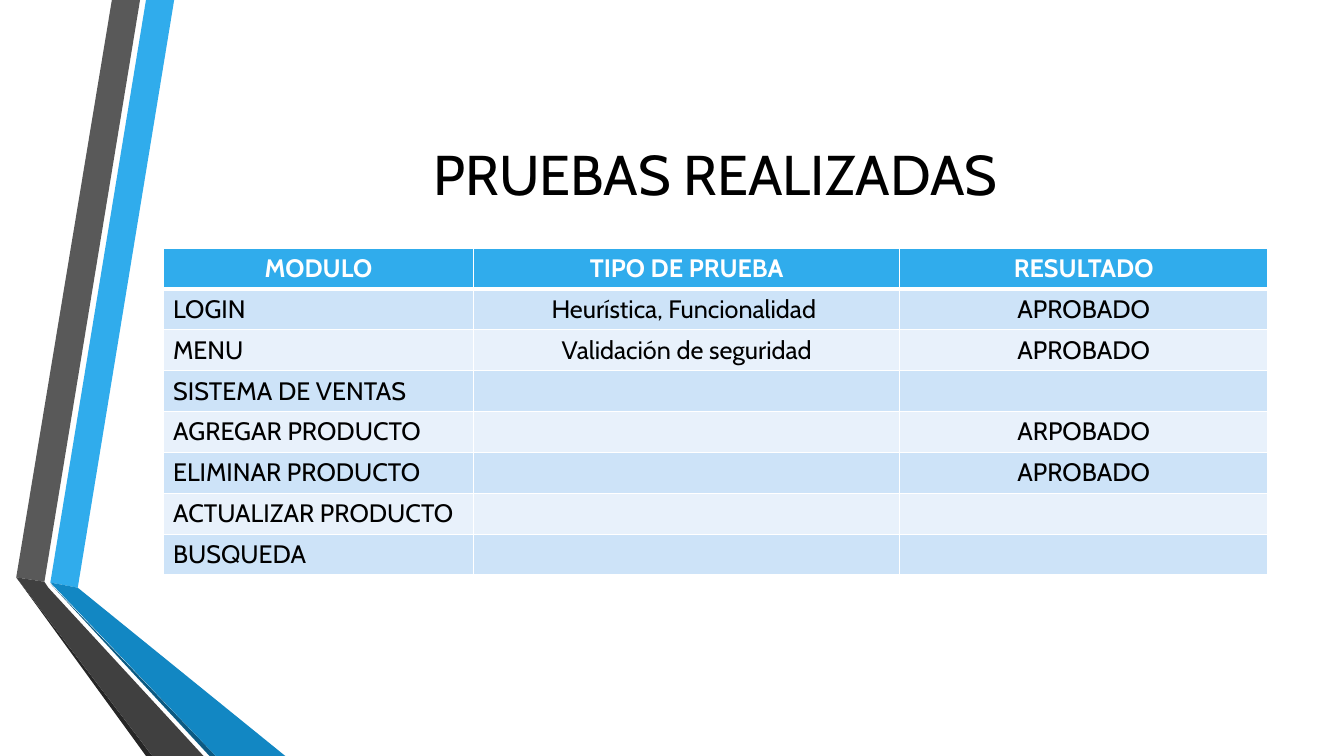
from lxml.etree import SubElement
from pptx import Presentation
from pptx.dml.color import RGBColor as Rgb
from pptx.enum.text import MSO_ANCHOR as Anchor, PP_ALIGN as Align
from pptx.oxml.ns import qn
from pptx.util import Cm, Pt

COLORS = {
    "black": "000000", "white": "FFFFFF",
    "blue": "30ACEC", "mid_blue": "1287C3", "deep_blue": "0C5A82",
    "gray": "595959", "dark_gray": "404040", "deep_gray": "262626",
    "band": "CDE3F8", "pale_band": "E8F1FB",
}
LEFT, WIDTH, BOTTOM = 4.11, 27.84, 19.05


def color(name):
    return Rgb.from_string(COLORS[name])


def write(frame, text, font="Cabin", size=18, ink="black", bold=False, align=Align.LEFT):
    paragraph = frame.paragraphs[0]
    paragraph.alignment = align
    run = paragraph.add_run()
    run.text = text
    run.font.name, run.font.size, run.font.bold = font, Pt(size), bold
    run.font.color.rgb = color(ink)


class SlideBuilder:
    def __init__(self, slide, font="Cabin"):
        self.slide = slide
        self.font = font

    def ribbon(self, fill, points):
        start, *rest = [(Cm(x), Cm(y)) for x, y in points]
        builder = self.slide.shapes.build_freeform(*start)
        builder.add_line_segments(rest, close=True)
        band = builder.convert_to_shape()
        band.shadow.inherit = False
        band.fill.solid()
        band.fill.fore_color.rgb = color(fill)
        band.line.fill.background()

    def title(self, text, top, height):
        box = self.slide.shapes.add_textbox(Cm(LEFT), Cm(top), Cm(WIDTH), Cm(height))
        frame = box.text_frame
        frame.word_wrap = True
        frame.vertical_anchor = Anchor.MIDDLE
        write(frame, text, font=self.font, size=40, align=Align.CENTER)

    def border(self, cell, side, width):
        line = SubElement(cell._tc.get_or_add_tcPr(), qn(f"a:{side}"), w=str(Pt(width)))
        fill = SubElement(line, qn("a:solidFill"))
        SubElement(fill, qn("a:srgbClr"), val=COLORS["white"])

    def table(self, rows, top, column_widths, row_height):
        grid = self.slide.shapes.add_table(
            len(rows), len(column_widths), Cm(LEFT), Cm(top),
            Cm(WIDTH), Cm(row_height * len(rows))).table
        for column, width in zip(grid.columns, column_widths):
            column.width = Cm(width)
        for r, row in enumerate(rows):
            grid.rows[r].height = Cm(row_height)
            header = r == 0
            fill = "blue" if header else "band" if r % 2 else "pale_band"
            for c, text in enumerate(row):
                cell = grid.cell(r, c)
                for side in ("lnL", "lnR", "lnT", "lnB"):
                    thick = header and side == "lnB" or r == 1 and side == "lnT"
                    self.border(cell, side, 3 if thick else 1)
                cell.fill.solid()
                cell.fill.fore_color.rgb = color(fill)
                if text:
                    write(cell.text_frame, text, font=self.font, bold=header,
                          ink="white" if header else "black",
                          align=Align.CENTER if header or c else Align.LEFT)


def main():
    deck = Presentation()
    deck.slide_width, deck.slide_height = Cm(33.87), Cm(BOTTOM)
    page = SlideBuilder(deck.slides.add_slide(deck.slide_layouts[6]))

    # Folded ribbons on the left
    page.ribbon("blue", [(1.27, 14.68), (1.96, 14.81), (4.39, 0), (3.68, 0)])
    page.ribbon("gray", [(3.53, 0), (2.82, 0), (0.41, 14.55), (1.12, 14.66)])
    page.ribbon("deep_gray", [(0.41, 14.55), (3.68, BOTTOM), (3.84, BOTTOM)])
    page.ribbon("deep_blue", [(1.27, 14.71), (5.28, BOTTOM), (5.44, BOTTOM)])
    page.ribbon("mid_blue", [(1.27, 14.68), (5.44, BOTTOM), (7.19, BOTTOM), (1.96, 14.81)])
    page.ribbon("dark_gray", [(5.13, BOTTOM), (1.22, 14.81), (1.12, 14.66),
                              (0.41, 14.55), (3.84, BOTTOM)])

    # Title
    page.title("PRUEBAS REALIZADAS", top=1.91, height=4.88)

    # Test results
    tests = [
        ("MODULO", "TIPO DE PRUEBA", "RESULTADO"),
        ("LOGIN", "Heurística, Funcionalidad ", "APROBADO"),
        ("MENU", "Validación de seguridad", "APROBADO"),
        ("SISTEMA DE VENTAS", "", ""),
        ("AGREGAR PRODUCTO", "", "ARPOBADO"),
        ("ELIMINAR PRODUCTO", "", "APROBADO"),
        ("ACTUALIZAR PRODUCTO", "", ""),
        ("BUSQUEDA", "", ""),
    ]
    page.table(tests, top=6.25, column_widths=(7.83, 10.73, 9.28), row_height=1.03)

    deck.save("out.pptx")


if __name__ == "__main__":
    main()
